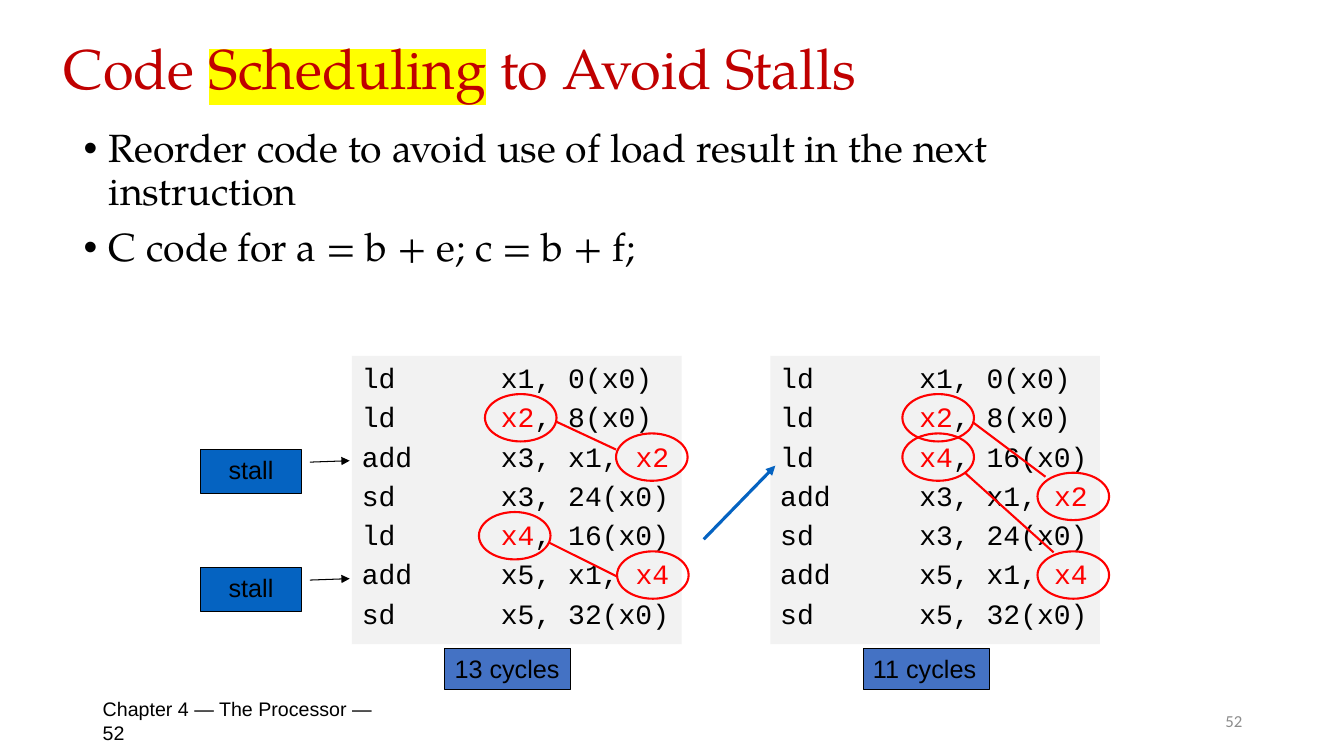
from dataclasses import dataclass

from lxml.etree import SubElement
from pptx import Presentation
from pptx.dml.color import RGBColor
from pptx.enum.shapes import MSO_CONNECTOR, MSO_SHAPE
from pptx.enum.text import MSO_ANCHOR, MSO_AUTO_SIZE, PP_ALIGN
from pptx.oxml.ns import qn
from pptx.util import Inches, Pt


@dataclass(frozen=True)
class Theme:
    ink: str = "000000"
    title: str = "C00000"
    marker: str = "FFFF00"
    hot: str = "FF0000"
    panel: str = "F2F2F2"
    stall: str = "0563C1"
    cycles: str = "4472C4"
    number: str = "8C8C8C"
    serif: str = "TeX Gyre Pagella"
    sans: str = "Arial"
    mono: str = "Courier New"
    page: str = "Calibri"
    title_size: float = 40
    body_size: float = 28
    code_size: float = 20
    label_size: float = 18
    footer_size: float = 14
    number_size: float = 12


THEME = Theme()
ROW = 0.39  # height of one line of code
RING_W, RING_H = 0.71, 0.47
PANEL_W, PANEL_H = 3.27, 2.86
PANEL_TOP = 3.53

# Each line: operation, operands before, highlighted register, operands after
LOAD_X1 = ("ld", "x1, 0(x0)", "", "")
LOAD_X2 = ("ld", "", "x2", ", 8(x0)")
LOAD_X4 = ("ld", "", "x4", ", 16(x0)")
ADD_X3 = ("add", "x3, x1, ", "x2", "")
ADD_X5 = ("add", "x5, x1, ", "x4", "")
STORE_X3 = ("sd", "x3, 24(x0)", "", "")
STORE_X5 = ("sd", "x5, 32(x0)", "", "")


def inches(*lengths):
    return [Inches(length) for length in lengths]


def add_run(paragraph, text, font, size, color):
    run = paragraph.add_run()
    run.text = text
    run.font.name, run.font.size = font, Pt(size)
    run.font.color.rgb = RGBColor.from_string(color)
    return run


def style_line(line, color, width, arrow=False):
    line.color.rgb = RGBColor.from_string(color)
    line.width = Pt(width)
    if arrow:
        SubElement(line._get_or_add_ln(), qn("a:tailEnd"), type="triangle")


def add_box(slide, kind, box, fill=None, line=None, width=0.75, arrow=False):
    shape = slide.shapes.add_shape(kind, *inches(*box))
    shape.shadow.inherit = False
    if fill:
        shape.fill.solid()
        shape.fill.fore_color.rgb = RGBColor.from_string(fill)
    else:
        shape.fill.background()
    if line:
        style_line(shape.line, line, width, arrow)
    else:
        shape.line.fill.background()
    return shape


def add_line(slide, start, end, color, width, arrow=False):
    line = slide.shapes.add_connector(MSO_CONNECTOR.STRAIGHT, *inches(*start, *end))
    SubElement(line._element.spPr, qn("a:effectLst"))
    style_line(line.line, color, width, arrow)


def place(placeholder, box, anchor):
    placeholder.left, placeholder.top, placeholder.width, placeholder.height = inches(*box)
    frame = placeholder.text_frame
    frame.auto_size = MSO_AUTO_SIZE.NONE
    frame.vertical_anchor = anchor
    return frame


def fill_title(slide, box):
    heading = place(slide.shapes.title, box, MSO_ANCHOR.MIDDLE).paragraphs[0]
    heading.alignment, heading.line_spacing = PP_ALIGN.LEFT, 0.9
    for text, marked in (("Code ", False), ("Scheduling", True), (" to Avoid Stalls", False)):
        run = add_run(heading, text, THEME.serif, THEME.title_size, THEME.title)
        if marked:
            latin = run._r.rPr.find(qn("a:latin"))
            highlight = SubElement(run._r.rPr, qn("a:highlight"))
            SubElement(highlight, qn("a:srgbClr"), val=THEME.marker)
            latin.addprevious(highlight)


def fill_points(slide, box, points):
    frame = place(slide.placeholders[1], box, MSO_ANCHOR.TOP)
    for index, text in enumerate(points):
        point = frame.add_paragraph() if index else frame.paragraphs[0]
        properties = point._p.get_or_add_pPr()
        properties.set("marL", str(Inches(0.25)))
        properties.set("indent", str(-Inches(0.25)))
        SubElement(properties, qn("a:buFont"), typeface=THEME.sans)
        SubElement(properties, qn("a:buChar"), char="•")
        point.line_spacing = 0.9
        point.space_before = Pt(10 if index else 0)
        add_run(point, text, THEME.serif, THEME.body_size, THEME.ink)


def add_code(slide, left, top, lines):
    panel = add_box(slide, MSO_SHAPE.RECTANGLE, (left, top, PANEL_W, PANEL_H), THEME.panel)
    frame = panel.text_frame
    frame.word_wrap = False
    frame.vertical_anchor = MSO_ANCHOR.TOP
    for index, (operation, before, register, after) in enumerate(lines):
        row = frame.add_paragraph() if index else frame.paragraphs[0]
        tabs = SubElement(row._p.get_or_add_pPr(), qn("a:tabLst"))
        for stop in (0.69, 1.38):
            SubElement(tabs, qn("a:tab"), pos=str(Inches(stop)), algn="l")
        row.alignment = PP_ALIGN.LEFT
        row.space_before = Pt(4 if index else 0)
        pieces = ((f"{operation}\t\t{before}", THEME.ink), (register, THEME.hot), (after, THEME.ink))
        for text, color in pieces:
            if text:
                add_run(row, text, THEME.mono, THEME.code_size, color)


def add_label(shape, text, alignment, anchor):
    shape.text_frame.vertical_anchor = anchor
    label = shape.text_frame.paragraphs[0]
    label.alignment = alignment
    add_run(label, text, THEME.sans, THEME.label_size, THEME.ink)


def add_program(slide, left, top, lines, rings, links, cycles, stalled_rows=()):
    """One listing with its stalls, dependences and cycle count."""
    add_code(slide, left, top, lines)

    # Stall callouts pointing at the delayed rows
    for row in stalled_rows:
        stall = add_box(slide, MSO_SHAPE.LINE_CALLOUT_1,
                        (left - 1.5, top + 0.15 + row * ROW, 1, 0.44),
                        THEME.stall, THEME.ink, arrow=True)
        for index, value in enumerate((0.285, 1.083, 0.253, 1.479)):
            stall.adjustments[index] = value
        add_label(stall, "stall", PP_ALIGN.CENTER, MSO_ANCHOR.TOP)

    # Rings around dependent registers, given as (offset, row)
    for offset, row in rings:
        add_box(slide, MSO_SHAPE.OVAL,
                (left + offset, top - 0.01 + row * ROW, RING_W, RING_H),
                line=THEME.hot, width=1.5)
    for x1, y1, x2, y2 in links:
        add_line(slide, (left + x1, top + y1), (left + x2, top + y2), THEME.hot, 1.5)

    # Cycle count
    count = add_box(slide, MSO_SHAPE.RECTANGLE, (left + 0.92, top + 2.9, 1.25, 0.41),
                    THEME.cycles, THEME.ink)
    add_label(count, cycles, PP_ALIGN.LEFT, MSO_ANCHOR.MIDDLE)
    count.text_frame.word_wrap = False


def add_footer(slide, box, text, alignment, font, size, color):
    frame = slide.shapes.add_textbox(*inches(*box)).text_frame
    frame.word_wrap = True
    frame.vertical_anchor = MSO_ANCHOR.MIDDLE
    frame.paragraphs[0].alignment = alignment
    add_run(frame.paragraphs[0], text, font, size, color)


def main():
    deck = Presentation()
    deck.slide_width, deck.slide_height = inches(13.33, 7.5)
    slide = deck.slides.add_slide(deck.slide_layouts[1])

    fill_title(slide, (0.53, 0.4, 12.32, 0.62))
    fill_points(slide, (0.73, 1.23, 10.73, 2.02), (
        "Reorder code to avoid use of load result in the next instruction",
        "C code for a = b + e; c = b + f;",
    ))

    # Code before and after scheduling
    add_program(slide, 3.49, PANEL_TOP,
                (LOAD_X1, LOAD_X2, ADD_X3, STORE_X3, LOAD_X4, ADD_X5, STORE_X5),
                rings=((1.32, 1), (2.62, 2), (1.26, 4), (2.63, 5)),
                links=((2.02, 0.65, 2.62, 0.93), (1.95, 1.85, 2.63, 2.19)),
                cycles="13 cycles", stalled_rows=(2, 5))
    add_program(slide, 7.64, PANEL_TOP,
                (LOAD_X1, LOAD_X2, LOAD_X4, ADD_X3, STORE_X3, ADD_X5, STORE_X5),
                rings=((1.31, 1), (1.31, 2), (2.65, 3), (2.65, 5)),
                links=((2.01, 0.66, 2.73, 1.2), (1.93, 1.16, 2.81, 1.95)),
                cycles="11 cycles")
    add_line(slide, (6.98, 5.35), (7.69, 4.62), THEME.stall, 2.25, arrow=True)

    # Footer
    add_footer(slide, (0.92, 6.95, 3, 0.4), "Chapter 4 — The Processor — 52",
               PP_ALIGN.LEFT, THEME.sans, THEME.footer_size, THEME.ink)
    add_footer(slide, (9.42, 6.95, 3, 0.4), "52",
               PP_ALIGN.RIGHT, THEME.page, THEME.number_size, THEME.number)
    deck.save("out.pptx")


if __name__ == "__main__":
    main()
